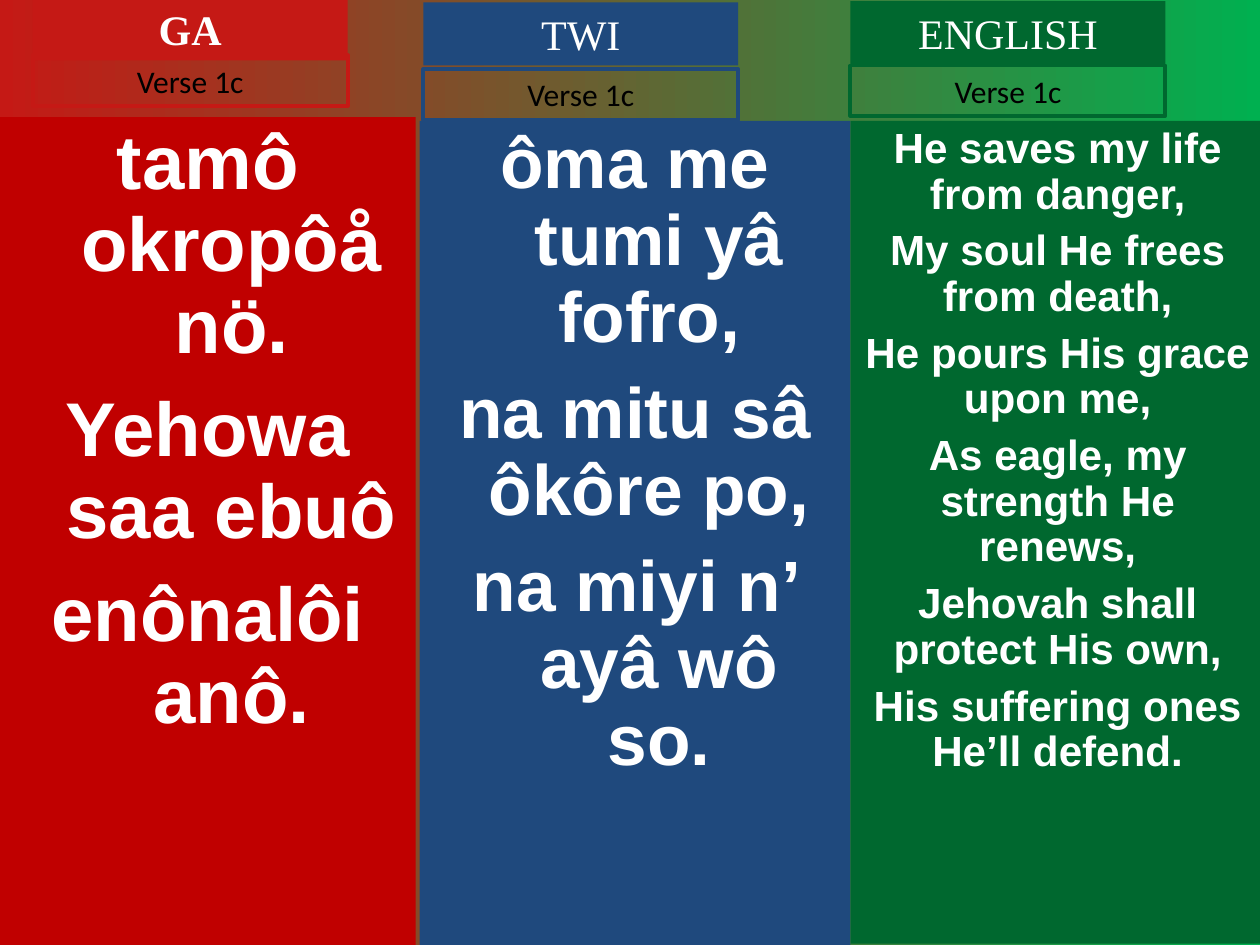
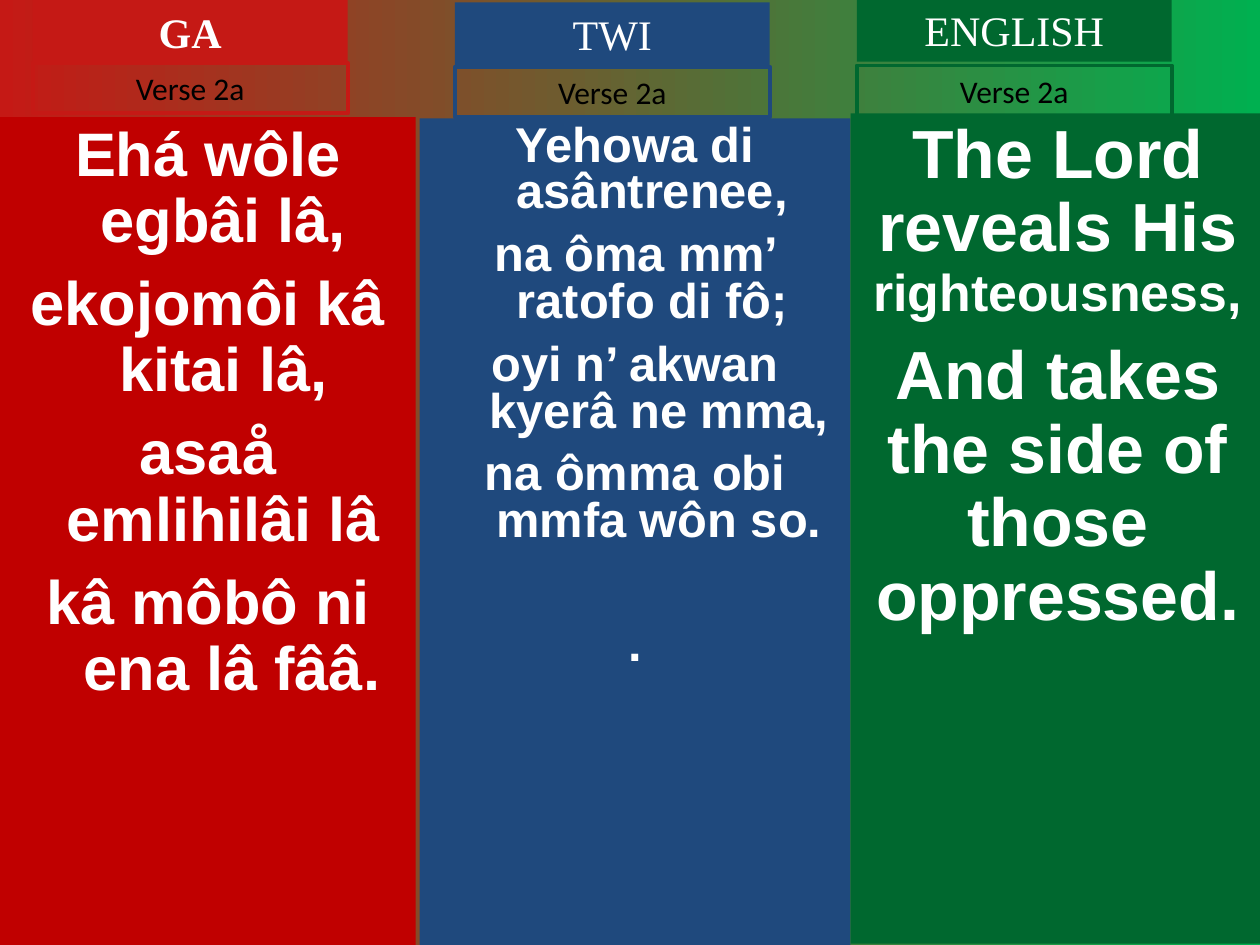
"""Build two hymn slides, each with the verse in Ga, Twi and English side by side."""
from pptx import Presentation
from pptx import util as u
from pptx.dml.color import RGBColor
from pptx.enum import shapes, text

WIDTH, HEIGHT = 10, 7.5
HEAD_WIDTH, HEAD_HEIGHT, VERSE_HEIGHT = 2.5, 0.5, 0.4
WHITE, BLACK = "FFFFFF", "000000"
BACKDROP = ["C51915", "00B050"]

LANGUAGES = [
    dict(name="GA", left=0, width=3.3, bottom=HEIGHT, body="C00000", head="C51915",
         bold=True, hanging=0.38),
    dict(name="TWI", left=3.33, width=3.42, bottom=HEIGHT, body="1F497D", head="1F497D",
         bold=False, hanging=0.38),
    dict(name="ENGLISH", left=6.75, width=3.29, bottom=7.49, body="00682F", head="00682F",
         bold=False, hanging=0),
]

VERSES = [
    ("Verse 1c", [
        dict(head=(0.26, -0.02), verse_top=0.44, top=0.93, size=43.5, gap=11.8, spacing=0.9,
             lines=["tamô okropôå nö.", "Yehowa saa ebuô ", "enônalôi anô."]),
        dict(head=(3.36, 0.02), verse_top=0.55, top=0.96, size=40.7, gap=11, spacing=0.9,
             lines=["ôma me tumi yâ fofro, ", "na mitu sâ ôkôre po, ",
                    "na miyi n’ ayâ wô so."]),
        dict(head=(6.75, 0.01), verse_top=0.52, top=0.96, size=24.1, gap=6.5, spacing=0.9,
             lines=["He saves my life from danger,", "My soul He frees from death,",
                    "He pours His grace upon me,", "As eagle, my strength He renews,",
                    "Jehovah shall protect His own,", "His suffering ones He’ll defend."]),
    ]),
    ("Verse 2a", [
        dict(head=(0.26, 0), verse_top=0.5, top=0.93, size=35.1, gap=9.5, spacing=0.9,
             lines=["Ehá wôle egbâi lâ, ", "ekojomôi kâ kitai lâ, ", "asaå emlihilâi lâ ",
                    "kâ môbô ni ena lâ fââ."]),
        dict(head=(3.61, 0.02), verse_top=0.53, top=0.94, size=27.9, gap=9, spacing=0.8,
             lines=["Yehowa di asântrenee, ", "na ôma mm’ ratofo di fô; ",
                    "oyi n’ akwan kyerâ ne mma,", "na ômma obi mmfa wôn so.", "."],
             last_gap=44),
        dict(head=(6.8, -0.01), verse_top=0.52, top=0.9, size=38.9, gap=10.5, spacing=0.9,
             lines=[[("The Lord reveals His ", 38.9), ("righteousness,", 29.6)],
                    "And takes the side of those oppressed."]),
    ]),
]


def color(value):
    return RGBColor.from_string(value)


def paint_backdrop(master):
    fill = master.background.fill
    fill.gradient()
    fill.gradient_angle = 0
    for stop, shade in zip(fill.gradient_stops, BACKDROP):
        stop.color.rgb = color(shade)


def add_panel(slide, left, top, width, height, fill=None, line=None):
    panel = slide.shapes.add_shape(shapes.MSO_SHAPE.RECTANGLE,
                                   *map(u.Inches, (left, top, width, height)))
    panel.shadow.inherit = False
    if fill:
        panel.fill.solid()
        panel.fill.fore_color.rgb = color(fill)
    else:
        panel.fill.background()
    if line:
        panel.line.color.rgb = color(line)
        panel.line.width = u.Pt(2.25)
    else:
        panel.line.fill.background()
    frame = panel.text_frame
    frame.word_wrap = True
    frame.vertical_anchor = text.MSO_ANCHOR.TOP
    return frame


def style(run, size, font, shade, bold):
    run.font.size = u.Pt(size)
    run.font.name = font
    run.font.color.rgb = color(shade)
    run.font.bold = bold


def add_label(slide, box, label, size, font, shade, bold=False, **paint):
    frame = add_panel(slide, *box, **paint)
    frame.auto_size = text.MSO_AUTO_SIZE.SHAPE_TO_FIT_TEXT
    frame.text = label
    paragraph = frame.paragraphs[0]
    paragraph.alignment = text.PP_ALIGN.CENTER
    style(paragraph.runs[0], size, font, shade, bold)


def add_lyrics(slide, language, part):
    frame = add_panel(slide, language["left"], part["top"], language["width"],
                      language["bottom"] - part["top"], fill=language["body"])
    last = len(part["lines"]) - 1
    for index, line in enumerate(part["lines"]):
        paragraph = frame.add_paragraph() if index else frame.paragraphs[0]
        paragraph.alignment = text.PP_ALIGN.CENTER
        paragraph.line_spacing = part["spacing"]
        if index:
            gap = part.get("last_gap", part["gap"]) if index == last else part["gap"]
            paragraph.space_before = u.Pt(gap)
        if language["hanging"]:
            properties = paragraph._p.get_or_add_pPr()
            properties.set("marL", str(u.Inches(language["hanging"])))
            properties.set("indent", str(-u.Inches(language["hanging"])))
        for words, size in [(line, part["size"])] if isinstance(line, str) else line:
            run = paragraph.add_run()
            run.text = words
            style(run, size, "Arial", WHITE, True)


def add_heading(slide, language, part, verse):
    left, top = part["head"]
    add_label(slide, (left, top, HEAD_WIDTH, HEAD_HEIGHT), language["name"], 24,
              "Times New Roman", WHITE, language["bold"], fill=language["head"])
    add_label(slide, (left, part["verse_top"], HEAD_WIDTH, VERSE_HEIGHT), verse, 18,
              "Calibri", BLACK, line=language["head"])


def main():
    deck = Presentation()
    deck.slide_width, deck.slide_height = u.Inches(WIDTH), u.Inches(HEIGHT)
    paint_backdrop(deck.slide_master)
    for verse, parts in VERSES:
        slide = deck.slides.add_slide(deck.slide_layouts[6])
        for language, part in zip(LANGUAGES, parts):
            add_lyrics(slide, language, part)
        for language, part in zip(LANGUAGES, parts):
            add_heading(slide, language, part, verse)
    deck.save("out.pptx")


if __name__ == "__main__":
    main()
